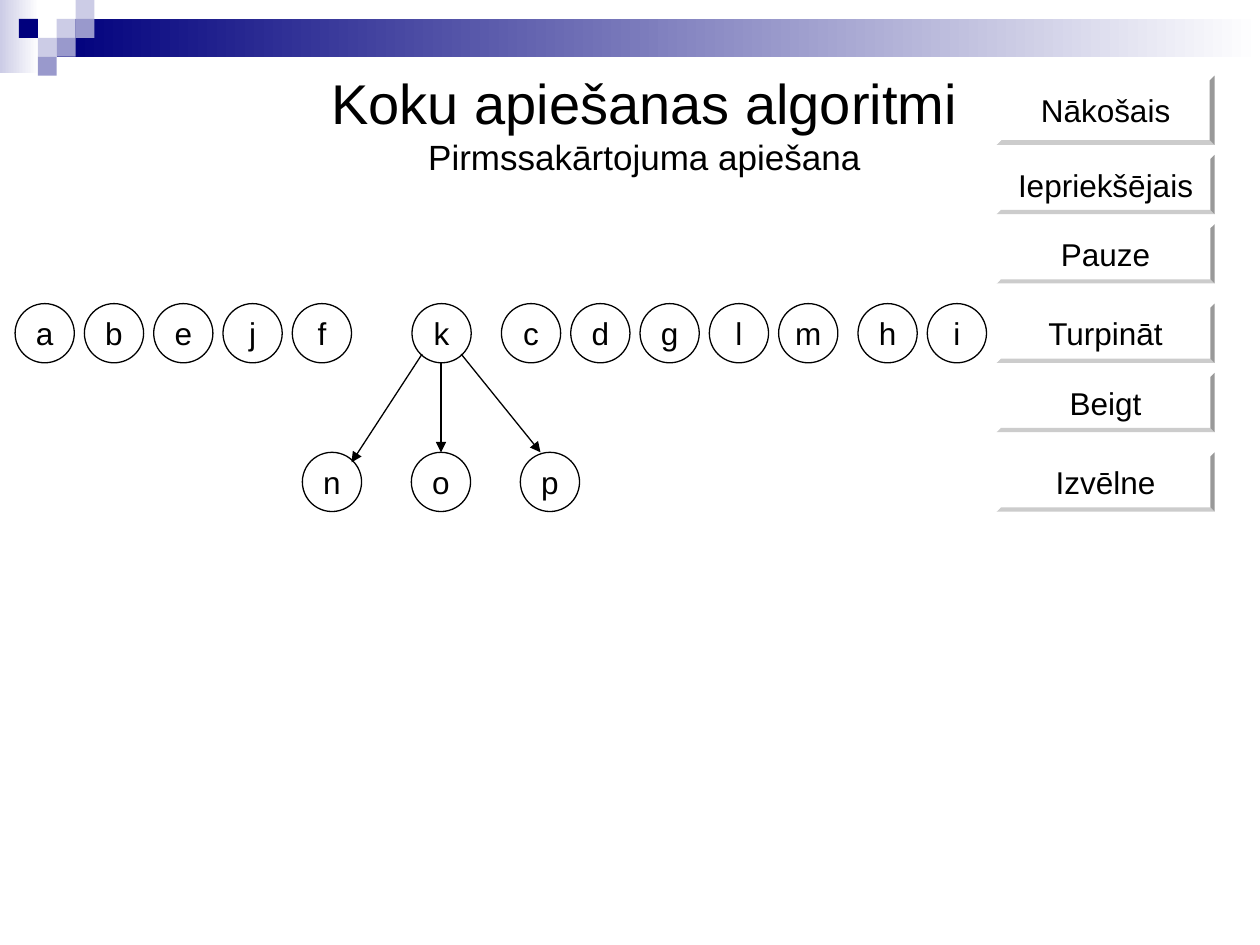
from pptx import Presentation
from pptx.dml.color import RGBColor
from pptx.enum.shapes import MSO_CONNECTOR, MSO_SHAPE
from pptx.enum.text import MSO_ANCHOR, PP_ALIGN
from pptx.oxml.ns import qn
from pptx.util import Inches, Pt

RECTANGLE, OVAL, BEVEL = MSO_SHAPE.RECTANGLE, MSO_SHAPE.OVAL, MSO_SHAPE.BEVEL
STRAIGHT = MSO_CONNECTOR.STRAIGHT
CENTER, MIDDLE = PP_ALIGN.CENTER, MSO_ANCHOR.MIDDLE

COLORS = {
    "white": "FFFFFF",
    "black": "000000",
    "navy": "00007D",
    "violet": "9999CC",
    "pale": "CCCCE6",
}
FONT = "Arial"

TILE = 0.15                 # side of one mosaic square
NODE = 0.47                 # diameter of a tree node
PITCH = 0.55                # distance between neighbouring nodes or buttons
VISITED_TOP, CHILD_TOP = 2.41, 3.59
CHILD_LEFT, CHILD_PITCH = 2.4, 0.865
BUTTON_LEFT, BUTTON_WIDTH, BEVEL_DEPTH = 7.91, 1.73, 0.07

VISITED_GROUPS = [(0.12, "abejf"), (3.27, "k"), (3.98, "cdglm"), (6.81, "hi")]
CHILDREN = "nop"
BUTTONS = [
    ("Nākošais", 0.6, PITCH),
    ("Iepriekšējais", 1.23, NODE),
    ("Pauze", 1.23 + PITCH, NODE),
    ("Turpināt", VISITED_TOP, NODE),
    ("Beigt", VISITED_TOP + PITCH, NODE),
    ("Izvēlne", CHILD_TOP, NODE),
]
MOSAIC = [  # column, row, colour
    (3, 1, "pale"), (4, 0, "pale"), (4, 1, "violet"), (2, 2, "pale"),
    (1, 1, "navy"), (3, 2, "violet"), (2, 3, "violet"),
]
ARROWS = [
    ((3.35, 2.81), (2.79, 3.67)),
    ((3.5, 2.88), (3.5, 3.59)),
    ((3.66, 2.81), (4.29, 3.59)),
]


def color(name):
    return RGBColor.from_string(COLORS[name])


def add_text(para, text, size=18, fill="black"):
    span = para.add_run()
    span.text = text
    span.font.name = FONT
    span.font.size = Pt(size)
    span.font.color.rgb = color(fill)


def add_box(page, kind, left, top, width, height, fill="white", line=None, text=None):
    box = page.shapes.add_shape(
        kind, Inches(left), Inches(top), Inches(width), Inches(height))
    box.shadow.inherit = False
    box.fill.solid()
    box.fill.fore_color.rgb = color(fill)
    if line:
        box.line.color.rgb = color(line)
        box.line.width = Pt(0.75)
    else:
        box.line.fill.background()
    if text:
        frame = box.text_frame
        frame.word_wrap = False
        frame.vertical_anchor = MIDDLE
        frame.paragraphs[0].alignment = CENTER
        add_text(frame.paragraphs[0], text)
    return box


def add_fading_bar(page, left, top, width, height, start):
    bar = add_box(page, RECTANGLE, left, top, width, height)
    bar.fill.gradient()
    bar.fill.gradient_angle = 0
    for stop, name in zip(bar.fill.gradient_stops, (start, "white")):
        stop.color.rgb = color(name)


def add_node(page, left, top, letter):
    add_box(page, OVAL, left, top, NODE, NODE, line="black", text=letter)


def add_button(page, label, top, height):
    button = add_box(page, BEVEL, BUTTON_LEFT, top, BUTTON_WIDTH, height, text=label)
    button.adjustments[0] = BEVEL_DEPTH


def add_arrow(page, start, end):
    arrow = page.shapes.add_connector(
        STRAIGHT, *(Inches(length) for length in start + end))
    arrow.line.color.rgb = color("black")
    arrow.line.width = Pt(0.75)
    line = arrow.line._get_or_add_ln()
    tail = line.makeelement(qn("a:tailEnd"), {"type": "triangle"})
    line.append(tail)
    properties = line.getparent()
    properties.append(properties.makeelement(qn("a:effectLst"), {}))


def add_title(page, title, subtitle):
    box = page.shapes.add_textbox(
        Inches(1.77), Inches(0.44), Inches(6.69), Inches(0.97))
    frame = box.text_frame
    frame.word_wrap = True
    frame.margin_top = Inches(0.1)
    para = frame.paragraphs[0]
    para.alignment = CENTER
    add_text(para, title, size=32)
    para.add_line_break()
    add_text(para, subtitle, size=20)


def main():
    deck = Presentation()
    deck.slide_width, deck.slide_height = Inches(10), Inches(7.5)
    page = deck.slides.add_slide(deck.slide_layouts[6])

    # Banner with its mosaic
    add_fading_bar(page, 0, 0, 0.31, 0.58, "pale")
    add_fading_bar(page, 3 * TILE, TILE, 10 - 3 * TILE, 2 * TILE, "navy")
    for column, row, fill in MOSAIC:
        add_box(page, RECTANGLE, column * TILE, row * TILE, TILE, TILE, fill=fill)

    add_title(page, "Koku apiešanas algoritmi", "Pirmssakārtojuma apiešana")

    # Control buttons
    for label, top, height in BUTTONS:
        add_button(page, label, top, height)

    # Row of nodes, then the children of k
    for left, letters in VISITED_GROUPS:
        for index, letter in enumerate(letters):
            add_node(page, left + index * PITCH, VISITED_TOP, letter)
    for index, letter in enumerate(CHILDREN):
        add_node(page, CHILD_LEFT + index * CHILD_PITCH, CHILD_TOP, letter)
    for start, end in ARROWS:
        add_arrow(page, start, end)

    deck.save("out.pptx")


if __name__ == "__main__":
    main()
